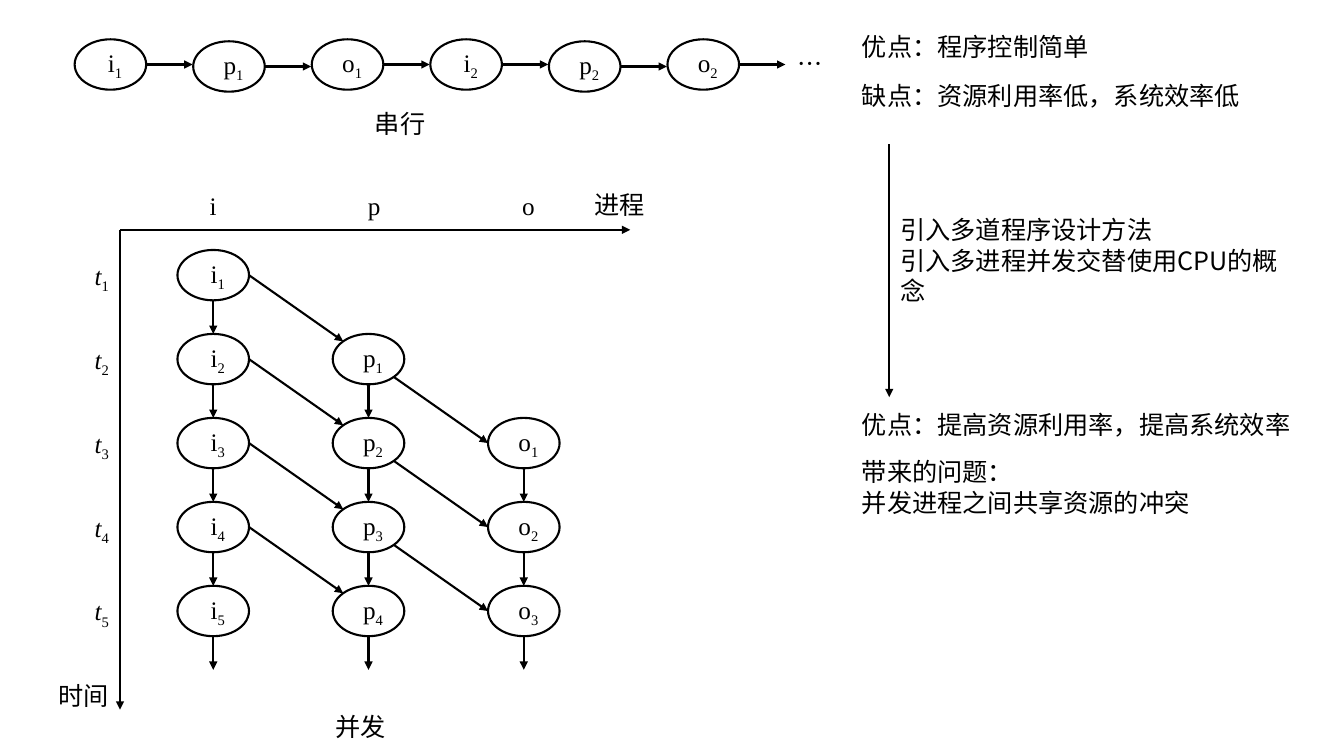
from lxml import etree
from pptx import Presentation
from pptx.dml.color import RGBColor
from pptx.enum.shapes import MSO_CONNECTOR, MSO_SHAPE
from pptx.enum.text import MSO_ANCHOR, PP_ALIGN
from pptx.oxml.ns import qn
from pptx.util import Inches, Pt

STRAIGHT = MSO_CONNECTOR.STRAIGHT
ELLIPSE = MSO_SHAPE.OVAL
MIDDLE = MSO_ANCHOR.MIDDLE
CENTER = PP_ALIGN.CENTER

BLACK = RGBColor(0, 0, 0)
LATIN_FONT = "Times New Roman"
CHINESE_FONT = "Noto Sans CJK SC"
TEXT_SIZE = Pt(18)
LINE_PITCH = Pt(22)
LINE_WIDTH = Pt(1.5)

# Grid, in inches
NODE_W, NODE_H = 0.71, 0.5
DIAGONAL = 0.5 ** 0.5
SERIAL_LEFT, SERIAL_TOP, SERIAL_PITCH = 0.74, 0.39, 1.176
SERIAL_ARROW = 0.46
COLUMN_LEFT = {"i": 1.76, "p": 3.3, "o": 4.84}
HEADING_LEFT = {"i": 1.98, "p": 3.55, "o": 5.08}
FIRST_ROW = {"i": 0, "p": 1, "o": 2}
ROW_TOP, ROW_PITCH, ROWS = 2.48, 0.833, 5
AXIS_X, AXIS_Y, AXIS_RIGHT, AXIS_BOTTOM = 1.19, 2.28, 6.25, 7.04
NOTES_LEFT = 8.45


def add_run(paragraph, text, font_name, italic=False, subscript=False):
    run = paragraph.add_run()
    run.text = text
    font = run.font
    font.size, font.name, font.italic = TEXT_SIZE, font_name, italic
    font.color.rgb = BLACK
    properties = run._r.get_or_add_rPr()
    if subscript:
        properties.set("baseline", "-25000")
    etree.SubElement(properties, qn("a:ea")).set("typeface", font_name)


def add_indexed(paragraph, letter, index, italic=False):
    add_run(paragraph, letter, LATIN_FONT, italic)
    add_run(paragraph, str(index), LATIN_FONT, subscript=True)


def add_text_frame(slide, left, top, width, height=0.4):
    box = slide.shapes.add_textbox(
        Inches(left), Inches(top), Inches(width), Inches(height))
    box.text_frame.word_wrap = True
    return box.text_frame


def add_label(slide, left, top, width, *lines, font_name=CHINESE_FONT):
    frame = add_text_frame(slide, left, top, width, 0.1 + 0.3 * len(lines))
    for number, line in enumerate(lines):
        paragraph = frame.add_paragraph() if number else frame.paragraphs[0]
        if font_name == CHINESE_FONT:
            paragraph.line_spacing = LINE_PITCH
        add_run(paragraph, line, font_name)


def add_node(slide, left, top, letter, index):
    node = slide.shapes.add_shape(
        ELLIPSE, Inches(left), Inches(top), Inches(NODE_W), Inches(NODE_H))
    node.shadow.inherit = False
    node.fill.background()
    node.line.color.rgb = BLACK
    node.line.width = LINE_WIDTH
    frame = node.text_frame
    frame.word_wrap = False
    frame.vertical_anchor = MIDDLE
    frame.margin_left = Inches(0.09)
    frame.margin_right = frame.margin_top = frame.margin_bottom = 0
    frame.paragraphs[0].alignment = CENTER
    add_indexed(frame.paragraphs[0], letter, index)


def add_arrow(slide, x1, y1, x2, y2):
    arrow = slide.shapes.add_connector(
        STRAIGHT, Inches(x1), Inches(y1), Inches(x2), Inches(y2))
    arrow.line.color.rgb = BLACK
    arrow.line.width = LINE_WIDTH
    etree.SubElement(arrow.line._get_or_add_ln(), qn("a:tailEnd")).set("type", "triangle")
    etree.SubElement(arrow._element.spPr, qn("a:effectLst"))


def row_top(row):
    return ROW_TOP + row * ROW_PITCH


def add_serial_chain(slide):
    for step in range(6):
        letter = "ipo"[step % 3]
        left = SERIAL_LEFT + step * SERIAL_PITCH
        top = SERIAL_TOP + (0.02 if letter == "p" else 0)
        right, middle = left + NODE_W, top + NODE_H / 2
        add_node(slide, left, top, letter, step // 3 + 1)
        add_arrow(slide, right, middle, right + SERIAL_ARROW, middle)
    add_label(slide, 7.81, 0.42, 0.78, "…")
    add_label(slide, 3.62, 1.02, 0.97, "串行")


def add_axes(slide):
    add_arrow(slide, AXIS_X, AXIS_Y, AXIS_RIGHT, AXIS_Y)
    add_arrow(slide, AXIS_X, AXIS_Y, AXIS_X, AXIS_BOTTOM)
    for letter, left in HEADING_LEFT.items():
        add_label(slide, left, 1.84, 0.46, letter, font_name=LATIN_FONT)
    for row in range(ROWS):
        frame = add_text_frame(slide, 0.84, row_top(row) + 0.05, 0.49)
        add_indexed(frame.paragraphs[0], "t", row + 1, italic=True)
    add_label(slide, 5.8, 1.82, 0.89, "进程")
    add_label(slide, 0.48, 6.69, 0.89, "时间")


def add_concurrent_grid(slide):
    # Nodes, each with an arrow down to the next row
    for letter, left in COLUMN_LEFT.items():
        center = left + NODE_W / 2
        for row in range(FIRST_ROW[letter], ROWS):
            add_node(slide, left, row_top(row), letter, row - FIRST_ROW[letter] + 1)
            add_arrow(slide, center, row_top(row) + NODE_H, center, row_top(row + 1))

    # Hand-over to the next process, one row lower
    p_center = COLUMN_LEFT["p"] + NODE_W / 2
    dx, dy = NODE_W / 2 * DIAGONAL, NODE_H / 2 * DIAGONAL
    for row in range(1, ROWS):
        middle = row_top(row) + NODE_H / 2
        add_arrow(slide, COLUMN_LEFT["i"] + NODE_W, middle - ROW_PITCH,
                  p_center - dx, middle - dy)
        if row < ROWS - 1:
            add_arrow(slide, p_center + dx, middle + dy,
                      COLUMN_LEFT["o"], middle + ROW_PITCH)
    add_label(slide, 3.23, 7, 0.97, "并发")


def add_notes_column(slide):
    add_label(slide, NOTES_LEFT, 0.26, 3.43, "优点：程序控制简单")
    add_label(slide, NOTES_LEFT, 0.74, 4.14, "缺点：资源利用率低，系统效率低")
    add_arrow(slide, 8.82, 1.43, 8.82, 3.94)
    add_label(slide, 8.83, 2.07, 4.18, "引入多道程序设计方法",
              "引入多进程并发交替使用CPU的概念")
    add_label(slide, NOTES_LEFT, 4.01, 4.56, "优点：提高资源利用率，提高系统效率")
    add_label(slide, NOTES_LEFT, 4.47, 3.61, "带来的问题：",
              "并发进程之间共享资源的冲突")


def main():
    deck = Presentation()
    deck.slide_width, deck.slide_height = Inches(13.33), Inches(7.5)
    slide = deck.slides.add_slide(deck.slide_layouts[6])
    add_serial_chain(slide)
    add_axes(slide)
    add_concurrent_grid(slide)
    add_notes_column(slide)
    deck.save("out.pptx")


if __name__ == "__main__":
    main()
